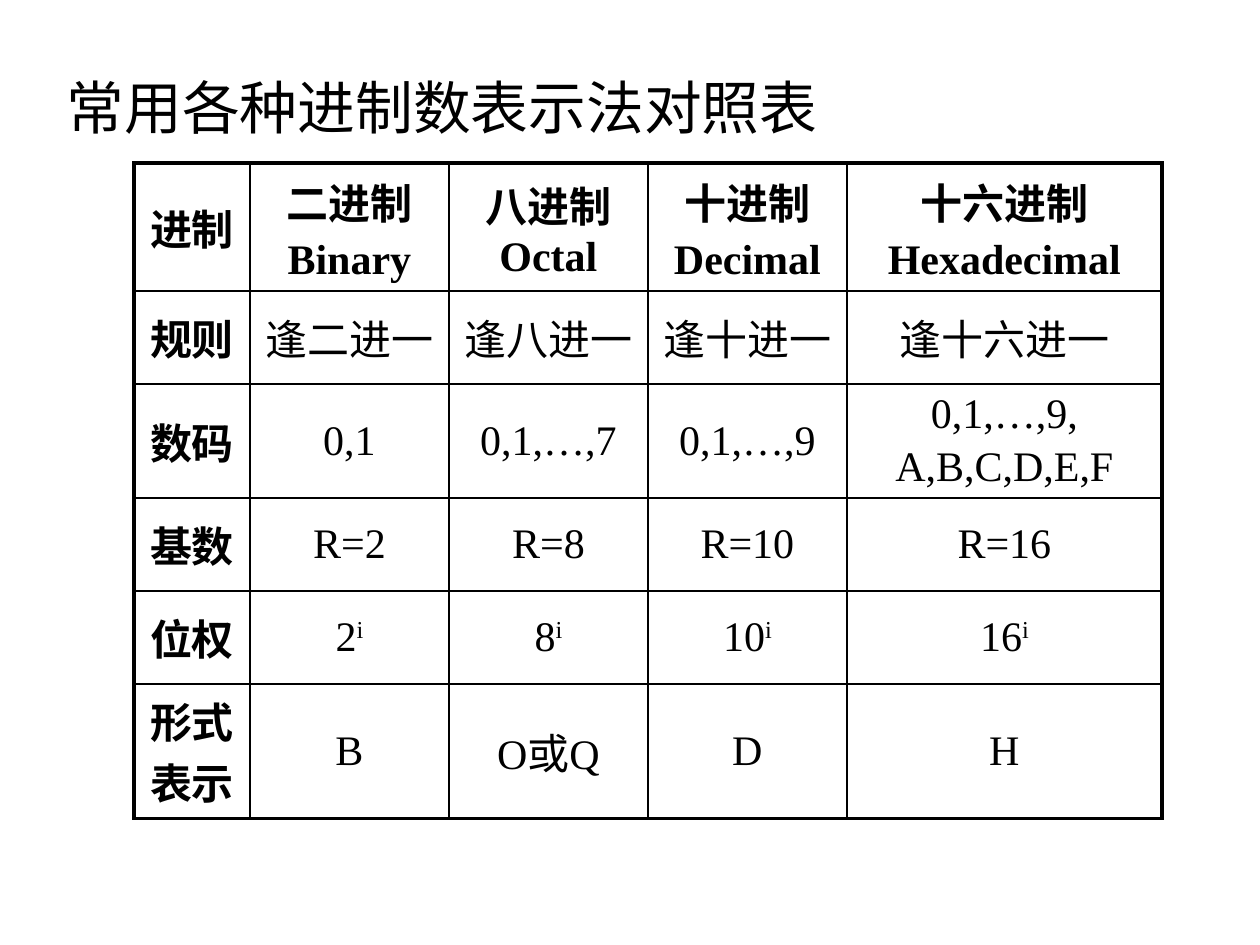
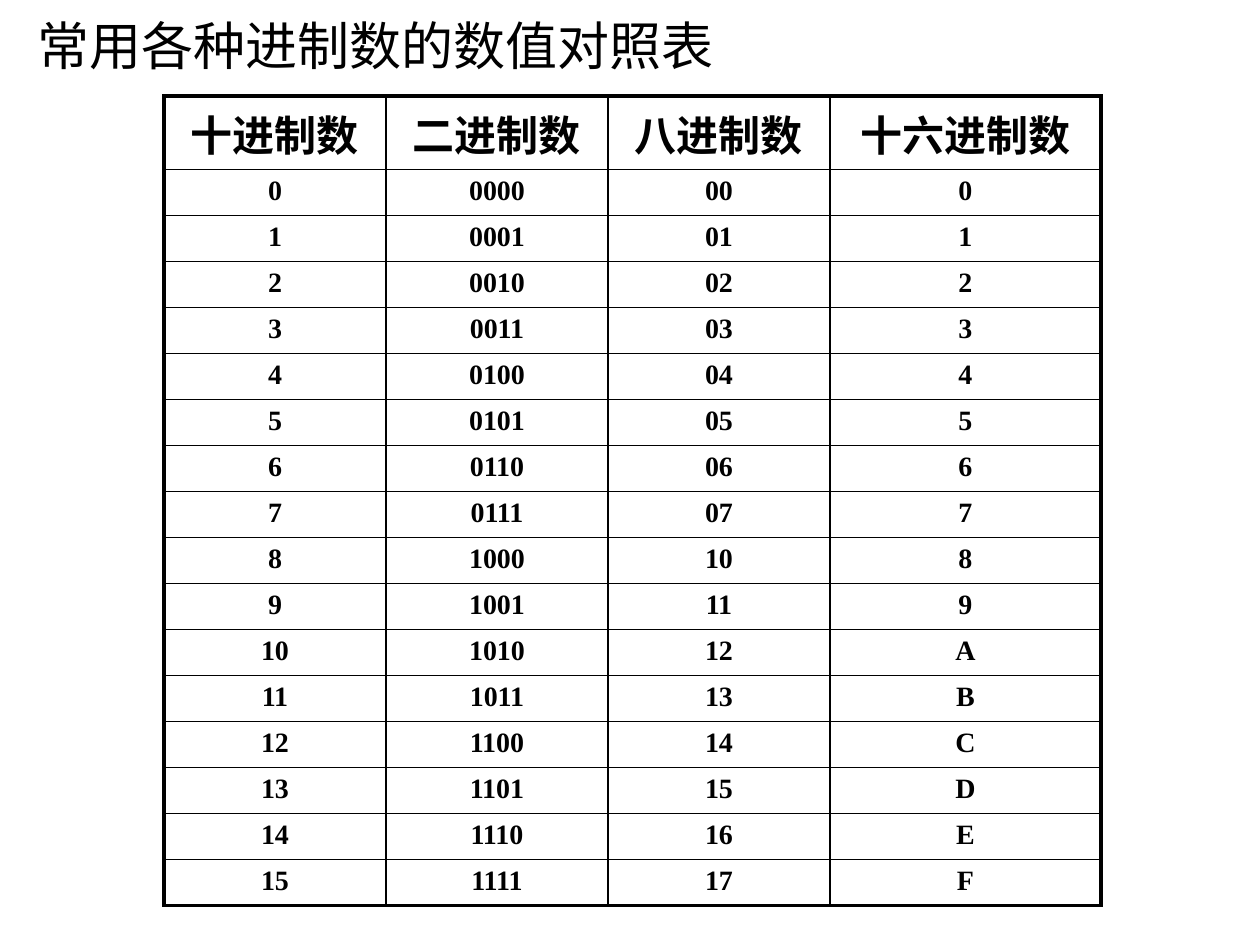
from dataclasses import dataclass

from lxml import etree
from pptx import Presentation
from pptx.dml.color import RGBColor
from pptx.enum.text import MSO_ANCHOR as Anchor, MSO_AUTO_SIZE as AutoSize, PP_ALIGN as Align
from pptx.oxml.ns import qn
from pptx.util import Emu, Pt

# Shared style
INK = RGBColor(0x00, 0x00, 0x00)
CJK_FONT = "Noto Sans CJK SC"
LATIN_FONT = "Times New Roman"
OUTER_LINE, INNER_LINE = Pt(2.25), Pt(1)
PARAGRAPH_GAP = Pt(3.5)
HEADER_SIZE = 24
TITLE_ONLY_LAYOUT = 5
PX_PER_INCH = 126


@dataclass(frozen=True)
class Title:
    text: str
    size: float
    frame: tuple[int, int, int, int]


@dataclass(frozen=True)
class Grid:
    left: int
    top: int
    columns: list[int]
    rows: list[int]
    cells: list[list[str]]
    body_size: int
    bold_body: bool
    anchor: Anchor


# Slide 1: notation of each numeral system
NOTATION_TITLE = Title("常用各种进制数表示法对照表", 33, (54, 19, 1086, 183))
NOTATION_GRID = Grid(
    left=134, top=163,
    columns=[116, 199, 199, 199, 315],
    rows=[128, 93, 114, 93, 93, 133],
    cells=[
        ["进制", "二进制\nBinary", "八进制Octal", "十进制\nDecimal", "十六进制\nHexadecimal"],
        ["规则", "逢二进一", "逢八进一", "逢十进一", "逢十六进一"],
        ["数码", "0,1", "0,1,…,7", "0,1,…,9", "0,1,…,9,\nA,B,C,D,E,F"],
        ["基数", "R=2", "R=8", "R=10", "R=16"],
        ["位权", "2^i", "8^i", "10^i", "16^i"],
        ["形式表示", "B", "O或Q", "D", "H"],
    ],
    body_size=24, bold_body=False, anchor=Anchor.MIDDLE,
)

# Slide 2: the values 0 to 15 in each system
VALUES_TITLE = Title("常用各种进制数的数值对照表", 29.7, (25, 26, 811, 45))
VALUES_GRID = Grid(
    left=164, top=96,
    columns=[222, 222, 222, 271],
    rows=[73] + [46] * 16,
    cells=[["十进制数", "二进制数", "八进制数", "十六进制数"]]
    + [[f"{n}", f"{n:04b}", f"{n:02o}", f"{n:X}"] for n in range(16)],
    body_size=16, bold_body=True, anchor=Anchor.TOP,
)


def px(length: int) -> Emu:
    return Emu(round(length * 914400 / PX_PER_INCH))


def style_font(para, name: str, size: float, bold: bool) -> None:
    font = para.font
    font.name, font.size, font.bold = name, Pt(size), bold
    font.color.rgb = INK
    east_asian = etree.SubElement(para._p.pPr.find(qn("a:defRPr")), qn("a:ea"))
    east_asian.set("typeface", CJK_FONT)


def add_title(page, title: Title) -> None:
    box = page.shapes.title
    box.left, box.top, box.width, box.height = map(px, title.frame)
    frame = box.text_frame
    frame.auto_size = AutoSize.NONE
    frame.word_wrap = True
    frame.vertical_anchor = Anchor.MIDDLE
    frame.text = title.text
    para = frame.paragraphs[0]
    para.alignment = Align.LEFT
    para.line_spacing = 0.9
    style_font(para, CJK_FONT, title.size, False)


def set_borders(cell, widths: dict[str, int]) -> None:
    """Draw the four sides; the line elements come before the cell fill."""
    properties = cell._tc.get_or_add_tcPr()
    for position, (side, width) in enumerate(widths.items()):
        line = etree.Element(qn(f"a:ln{side}"), w=str(int(width)))
        fill = etree.SubElement(line, qn("a:solidFill"))
        etree.SubElement(fill, qn("a:srgbClr"), val=str(INK))
        properties.insert(position, line)


def fill_cell(cell, text: str, size: int, bold: bool) -> None:
    frame = cell.text_frame
    for index, line in enumerate(text.split("\n")):
        para = frame.add_paragraph() if index else frame.paragraphs[0]
        para.alignment = Align.CENTER
        if index:
            para.space_before = PARAGRAPH_GAP
        base, _, exponent = line.partition("^")
        para.add_run().text = base
        if exponent:
            span = para.add_run()
            span.text = exponent
            span._r.get_or_add_rPr().set("baseline", "30000")
        style_font(para, LATIN_FONT, size, bold)


def add_grid(page, grid: Grid) -> None:
    last_row, last_column = len(grid.rows) - 1, len(grid.columns) - 1
    table = page.shapes.add_table(
        len(grid.rows), len(grid.columns), px(grid.left), px(grid.top),
        px(sum(grid.columns)), px(sum(grid.rows)),
    ).table
    table.first_row = table.horz_banding = False
    for column, width in zip(table.columns, grid.columns):
        column.width = px(width)
    for row, height in zip(table.rows, grid.rows):
        row.height = px(height)

    for r, texts in enumerate(grid.cells):
        for c, text in enumerate(texts):
            cell = table.cell(r, c)
            cell.fill.background()
            cell.vertical_anchor = grid.anchor
            size = grid.body_size if r else HEADER_SIZE
            fill_cell(cell, text, size, grid.bold_body or r == 0 or c == 0)
            on_edge = {"L": c == 0, "R": c == last_column, "T": r == 0, "B": r == last_row}
            set_borders(cell, {side: OUTER_LINE if outer else INNER_LINE
                               for side, outer in on_edge.items()})


def main() -> None:
    deck = Presentation()
    deck.slide_width, deck.slide_height = px(1260), px(945)
    for title, grid in ((NOTATION_TITLE, NOTATION_GRID), (VALUES_TITLE, VALUES_GRID)):
        page = deck.slides.add_slide(deck.slide_layouts[TITLE_ONLY_LAYOUT])
        add_title(page, title)
        add_grid(page, grid)
    deck.save("out.pptx")


if __name__ == "__main__":
    main()
